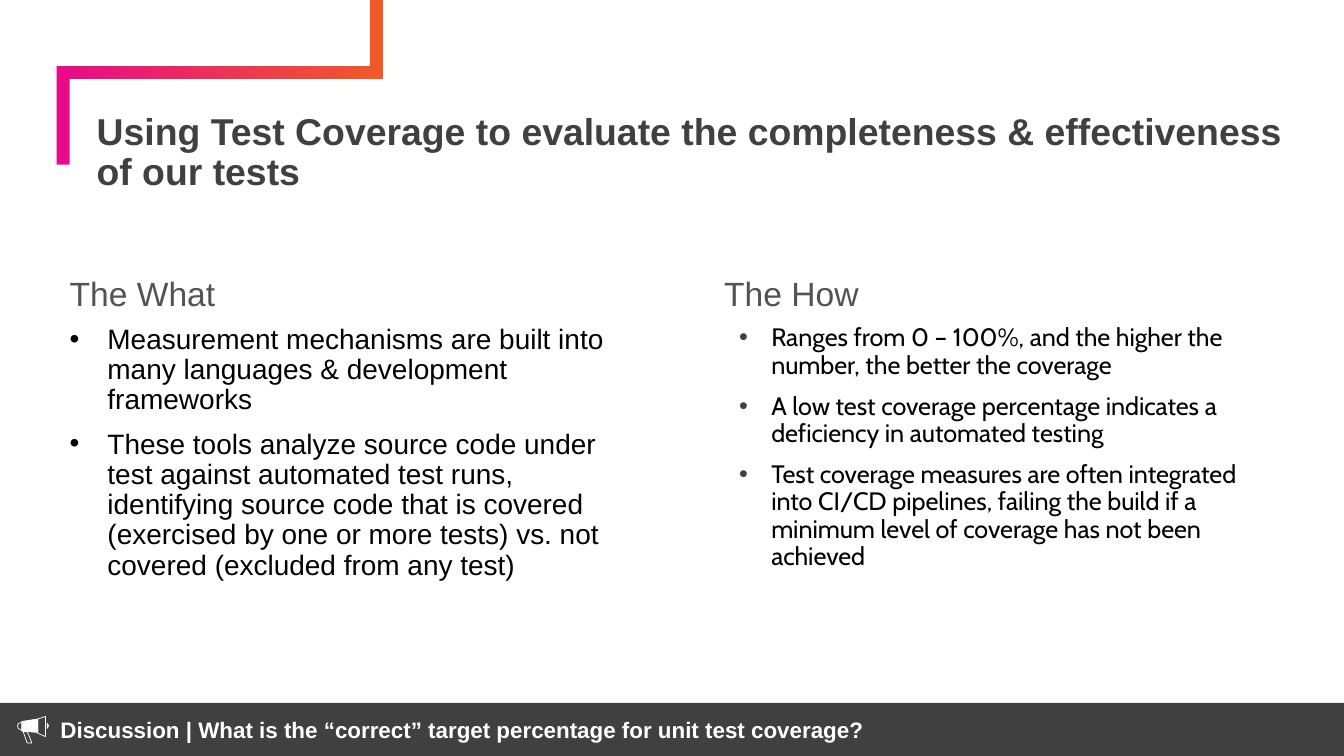
from dataclasses import dataclass

from lxml.etree import SubElement
from pptx import Presentation
from pptx.dml.color import RGBColor as RGB
from pptx.enum.shapes import MSO_SHAPE as Shape
from pptx.enum.text import MSO_ANCHOR as Anchor, PP_ALIGN as Align
from pptx.oxml.ns import qn
from pptx.util import Pt


@dataclass(frozen=True)
class Theme:
    pink: str = "E80A89"
    orange: str = "F05A28"
    dark: str = "404040"
    heading: str = "535353"
    black: str = "000000"
    white: str = "FFFFFF"
    sans: str = "Arial"
    alt: str = "Cabin"
    title_size: float = 20
    heading_size: float = 18
    body_size: float = 15
    sub_size: float = 13.5
    footer_size: float = 12


T = Theme()


def font(name, size, color, bold=False):
    return {"name": name, "size": Pt(size), "bold": bold, "color": color}


class Deck:
    def __init__(self, width, height):
        self.prs = Presentation()
        self.prs.slide_width, self.prs.slide_height = Pt(width), Pt(height)
        self.s = self.prs.slides.add_slide(self.prs.slide_layouts[6])

    def rect(self, x, y, w, h, color, end_color=None):
        """Borderless rectangle; end_color makes a left-to-right gradient."""
        sp = self.s.shapes.add_shape(Shape.RECTANGLE, Pt(x), Pt(y), Pt(w), Pt(h))
        sp.shadow.inherit = False
        sp.line.fill.background()
        if end_color:
            sp.fill.gradient()
            sp.fill.gradient_angle = 0
            stops = zip(sp.fill.gradient_stops, (0, 1), (color, end_color))
            for stop, position, c in stops:
                stop.position = position
                stop.color.rgb = RGB.from_string(c)
        else:
            sp.fill.solid()
            sp.fill.fore_color.rgb = RGB.from_string(color)
        return sp

    def outline(self, points, color, filled=False, closed=True):
        start, *rest = [(Pt(x), Pt(y)) for x, y in points]
        builder = self.s.shapes.build_freeform(*start)
        builder.add_line_segments(rest, close=closed)
        sp = builder.convert_to_shape()
        sp.shadow.inherit = False
        sp.line.color.rgb = RGB.from_string(color)
        sp.line.width = Pt(0.4)
        if filled:
            sp.fill.solid()
            sp.fill.fore_color.rgb = RGB.from_string(color)
        else:
            sp.fill.background()

    def text_box(self, x, y, w, h, lines, style, **options):
        sp = self.s.shapes.add_textbox(Pt(x), Pt(y), Pt(w), Pt(h))
        self.set_text(sp, lines, style, **options)

    def set_text(self, sp, lines, style, anchor=Anchor.TOP, inset=(0, 0),
                 spacing=1.0, left=0, hanging=0, bullet=None):
        """Fill a shape with paragraphs; bullet is the bullet colour."""
        tf = sp.text_frame
        dx, dy = map(Pt, inset)
        frame = {"word_wrap": True, "vertical_anchor": anchor, "margin_left": dx,
                 "margin_right": dx, "margin_top": dy, "margin_bottom": dy}
        for name, value in frame.items():
            setattr(tf, name, value)
        for i, line in enumerate(lines):
            p = tf.paragraphs[0] if i == 0 else tf.add_paragraph()
            layout = {"alignment": Align.LEFT, "line_spacing": spacing,
                      "space_before": Pt(7.5 if i else 0)}
            for name, value in layout.items():
                setattr(p, name, value)
            pPr = p._p.get_or_add_pPr()
            pPr.set("marL", str(Pt(left)))
            pPr.set("indent", str(Pt(-hanging)))
            if bullet:
                clr = SubElement(pPr, qn("a:buClr"))
                SubElement(clr, qn("a:srgbClr"), val=bullet)
                SubElement(pPr, qn("a:buFont"), typeface=T.sans)
                SubElement(pPr, qn("a:buChar"), char="•")
            r = p.add_run()
            r.text = line
            for name, value in style.items():
                if name == "color":
                    r.font.color.rgb = RGB.from_string(value)
                else:
                    setattr(r.font, name, value)


def add_corner_frame(deck):
    x, y, right, bar = 30.4, 35.4, 205.2, 7
    deck.rect(x, y, right - x, bar, T.pink, T.orange)
    deck.rect(x, y, bar, 52.8, T.pink)
    deck.rect(right - bar, 0, bar, y + bar, T.orange)


def add_megaphone(deck):
    body = [(11.6, 386.6), (20.2, 385.2), (20.2, 392.4), (11.6, 391.7)]
    mouth = [(25.3, 387.4), (26, 388.8), (25.3, 390.2)]
    horn = [(20.2, 385.2), (24.3, 383.8), (24.3, 394.6), (20.2, 392.8)]
    handle = [(12.4, 391.8), (14.6, 398), (17.1, 398), (14.8, 392.2)]
    back = [(11.5, 387.1), (9.9, 387.6), (9.4, 389), (9.9, 390.4), (11.5, 391)]
    for points in (body, mouth):
        deck.outline(points, T.white, filled=True)
    for points in (horn, handle):
        deck.outline(points, T.white)
    deck.outline(back, T.white, closed=False)


def main():
    deck = Deck(720, 405)
    add_corner_frame(deck)
    deck.text_box(
        48.2, 56.2, 650, 51.1,
        ["Using Test Coverage to evaluate the completeness & effectiveness of our tests"],
        font(T.sans, T.title_size, T.dark, bold=True),
        anchor=Anchor.BOTTOM, inset=(3.6, 3.6), spacing=0.9)

    columns = [
        (37.4, "The What", font(T.sans, T.body_size, T.black),
         {"left": 20.2, "hanging": 20.2, "bullet": T.black},
         ["Measurement mechanisms are built into many languages & development frameworks",
          "These tools analyze source code under test against automated test runs, "
          "identifying source code that is covered (exercised by one or more tests) "
          "vs. not covered (excluded from any test)"]),
        (388, "The How", font(T.alt, T.sub_size, T.black),
         {"left": 25.2, "hanging": 17.2, "bullet": T.dark},
         ["Ranges from 0 – 100%, and the higher the number, the better the coverage",
          "A low test coverage percentage indicates a deficiency in automated testing",
          "Test coverage measures are often integrated into CI/CD pipelines, failing "
          "the build if a minimum level of coverage has not been achieved"]),
    ]
    for x, heading, style, bullets, lines in columns:
        deck.text_box(x, 174.2, 295.2, 172, lines, style, spacing=0.9, **bullets)
        deck.text_box(x, 141.2, 295.2, 26.6, [heading],
                      font(T.sans, T.heading_size, T.heading), anchor=Anchor.BOTTOM)

    footer = deck.rect(0, 376.6, 720, 28.4, T.dark)
    deck.set_text(
        footer,
        ["Discussion | What is the “correct” target percentage for unit test coverage?"],
        font(T.sans, T.footer_size, T.white, bold=True),
        anchor=Anchor.MIDDLE, inset=(5, 2.9), left=27.4)
    add_megaphone(deck)
    deck.prs.save("out.pptx")


if __name__ == "__main__":
    main()
